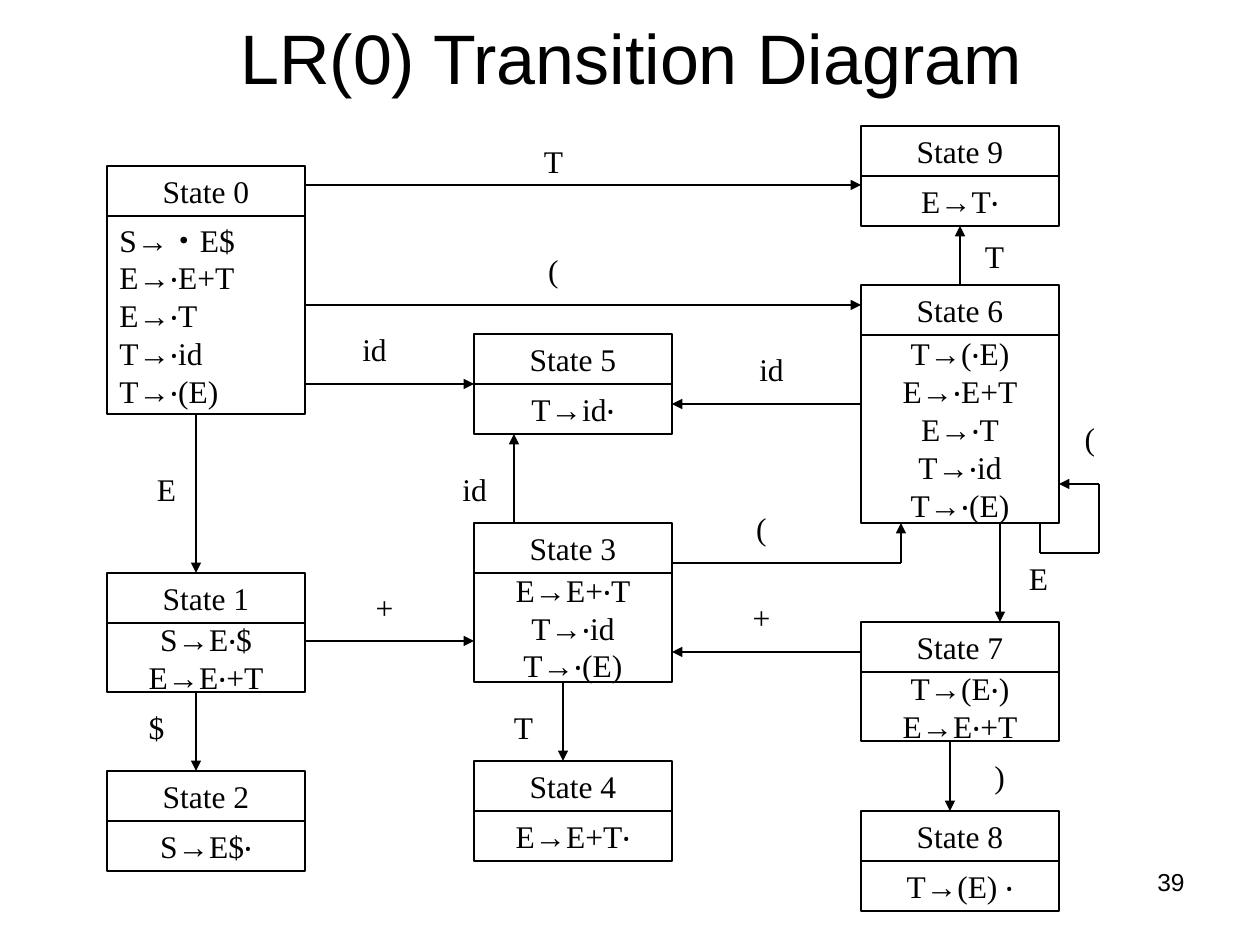
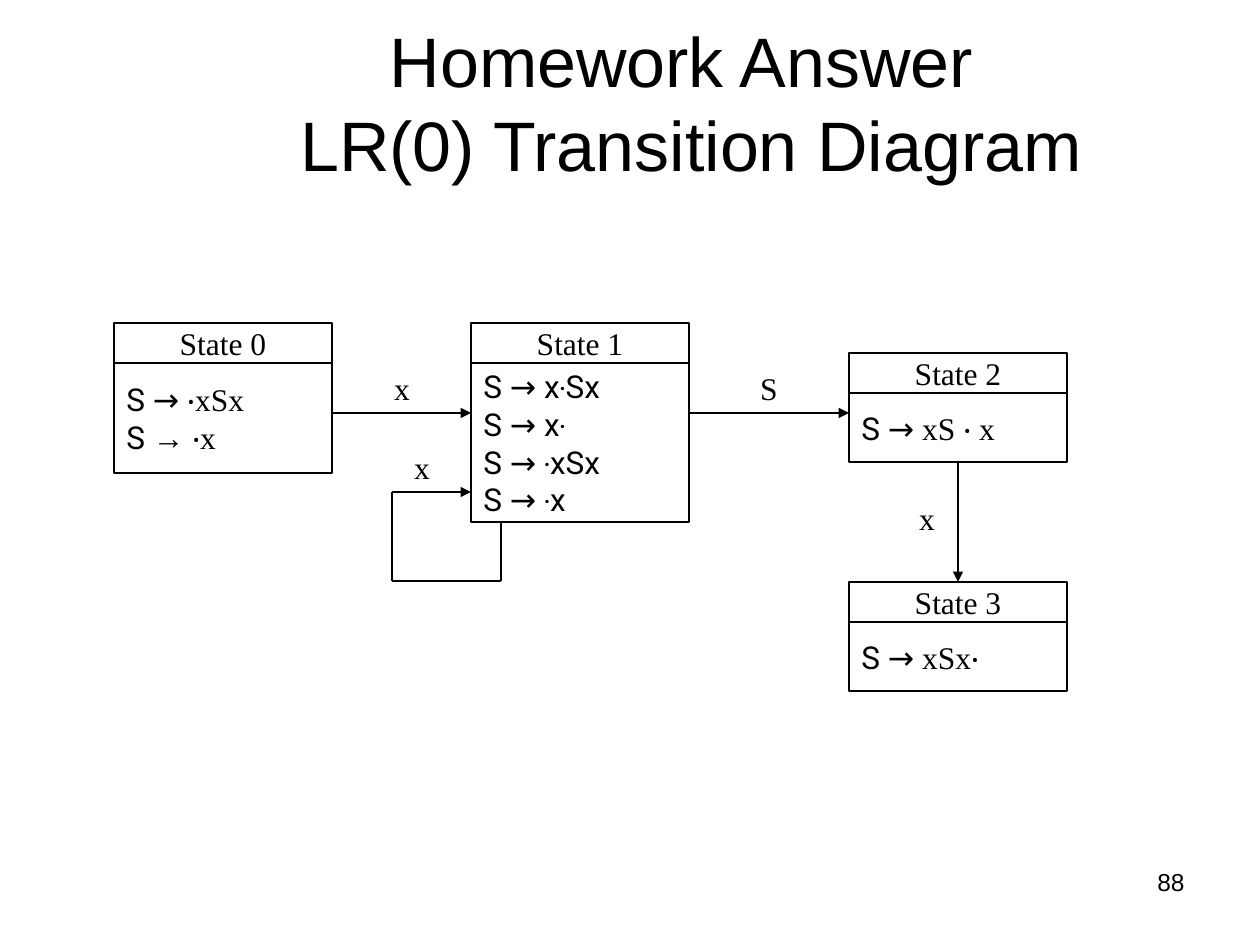
from dataclasses import dataclass

from lxml import etree
from pptx import Presentation
from pptx.dml.color import RGBColor
from pptx.enum.shapes import MSO_CONNECTOR, MSO_SHAPE
from pptx.enum.text import MSO_ANCHOR, PP_ALIGN
from pptx.oxml.ns import qn
from pptx.util import Emu, Pt

LEFT, CENTER, RIGHT = PP_ALIGN.LEFT, PP_ALIGN.CENTER, PP_ALIGN.RIGHT
TOP, MIDDLE, BOTTOM = MSO_ANCHOR.TOP, MSO_ANCHOR.MIDDLE, MSO_ANCHOR.BOTTOM
RECTANGLE = MSO_SHAPE.RECTANGLE
STRAIGHT = MSO_CONNECTOR.STRAIGHT


@dataclass(frozen=True)
class Theme:
    ink: RGBColor = RGBColor(0, 0, 0)
    paper: RGBColor = RGBColor(255, 255, 255)
    sans: str = "Arial"
    serif: str = "Times New Roman"
    rule: str = "Roboto"
    wide: str = "Noto Sans CJK TC"
    title_size: int = 40
    body_size: int = 18
    number_size: int = 14
    line_width: float = 0.75


THEME = Theme()
PX = 914400 / 126
SLIDE_SIZE = (1260, 945)
NUMBER_BOX = (903, 861, 294, 66)


def production(right_side):
    """One grammar rule whose left side and arrow are in the rule font."""
    return [("S → ", THEME.rule), (right_side, THEME.serif)]


# States: name, left, top, body height, body alignment, body lines.
# A line is a string in the serif font or a list of (text, font) runs.
# Labels: text, left, top and, where it differs, size.
# Arrows: corner points, with the head at the last one.
DIAGRAMS = [
    {
        "title": "LR(0) Transition Diagram",
        "title_box": (64, 26, 1134, 79),
        "number": "39",
        "state_width": 198,
        "header_height": 50,
        "label_size": (59, 50),
        "states": [
            ("State 0", 107, 166, 198, LEFT,
             [[("S→", THEME.serif), ("‧", THEME.wide), ("E$", THEME.serif)],
              "E→‧E+T", "E→‧T", "T→‧id", "T→‧(E)"]),
            ("State 1", 107, 573, 69, CENTER, ["S→E‧$", "E→E‧+T"]),
            ("State 2", 107, 771, 50, CENTER, ["S→E$‧"]),
            ("State 3", 474, 523, 109, CENTER, ["E→E+‧T", "T→‧id", "T→‧(E)"]),
            ("State 4", 474, 761, 50, CENTER, ["E→E+T‧"]),
            ("State 5", 474, 334, 50, CENTER, ["T→id‧"]),
            ("State 6", 861, 285, 188, CENTER,
             ["T→(‧E)", "E→‧E+T", "E→‧T", "T→‧id", "T→‧(E)"]),
            ("State 7", 861, 622, 69, CENTER, ["T→(E‧)", "E→E‧+T"]),
            ("State 8", 861, 811, 50, CENTER, ["T→(E) ‧"]),
            ("State 9", 861, 126, 50, CENTER, ["E→T‧"]),
        ],
        "labels": [
            ("T", 524, 136), ("(", 524, 245), ("id", 345, 324), ("id", 742, 344),
            ("E", 137, 464), ("id", 445, 464), ("(", 732, 503), ("+", 355, 582),
            ("+", 732, 592), ("E", 1009, 553), ("$", 127, 702), ("T", 494, 702),
            (")", 970, 751), ("T", 970, 236, 49, 39), ("(", 1070, 413, 40, 50),
        ],
        "arrows": [
            [(305, 185), (861, 185)],
            [(305, 305), (861, 305)],
            [(305, 384), (474, 384)],
            [(196, 414), (196, 573)],
            [(305, 641), (474, 641)],
            [(196, 692), (196, 771)],
            [(563, 682), (563, 761)],
            [(514, 523), (514, 434)],
            [(861, 404), (672, 404)],
            [(672, 563), (901, 563), (901, 523)],
            [(1000, 523), (1000, 622)],
            [(861, 652), (672, 652)],
            [(950, 741), (950, 811)],
            [(960, 285), (960, 226)],
            [(1040, 523), (1040, 553), (1099, 553), (1099, 484), (1059, 484)],
        ],
    },
    {
        "title": "Homework Answer \vLR(0) Transition Diagram",
        "title_box": (154, 96, 1074, 96),
        "number": "88",
        "state_width": 218,
        "header_height": 40,
        "label_size": (40, 30),
        "states": [
            ("State 0", 114, 323, 110, LEFT,
             [production("‧xSx"), [("S ", THEME.rule), ("→ ‧x", THEME.serif)]]),
            ("State 1", 471, 323, 159, LEFT,
             [[(text, THEME.rule)]
              for text in ("S → x‧Sx", "S → x‧", "S → ‧xSx", "S → ‧x")]),
            ("State 2", 849, 353, 69, LEFT, [production("xS ‧ x")]),
            ("State 3", 849, 582, 69, LEFT, [production("xSx‧")]),
        ],
        "labels": [("x", 382, 373), ("x", 402, 452), ("S", 749, 373), ("x", 907, 503)],
        "arrows": [
            [(332, 413), (471, 413)],
            [(689, 413), (849, 413)],
            [(958, 462), (958, 582)],
            [(501, 522), (501, 581), (392, 581), (392, 492), (471, 492)],
        ],
    },
]


def px(*lengths):
    return [Emu(round(length * PX)) for length in lengths]


def write(shape, lines, font_name, size, alignment, anchor, wrap):
    frame = shape.text_frame
    frame.word_wrap = wrap
    frame.vertical_anchor = anchor
    for index, line in enumerate(lines):
        paragraph = frame.add_paragraph() if index else frame.paragraphs[0]
        paragraph.alignment = alignment
        if isinstance(line, str):
            paragraph.text = line
            names = [font_name] * len(paragraph.runs)
        else:
            names = [name for _, name in line]
            for text, _ in line:
                paragraph.add_run().text = text
        for run, name in zip(paragraph.runs, names):
            run.font.name = name
            run.font.size = Pt(size)
            run.font.color.rgb = THEME.ink
            east_asian = etree.Element(qn("a:ea"), typeface=name)
            run.font._element.find(qn("a:latin")).addnext(east_asian)


def add_text(slide, box, text, size, alignment, anchor):
    shape = slide.shapes.add_textbox(*px(*box))
    write(shape, [text], THEME.sans, size, alignment, anchor, True)


def add_box(slide, box, lines, alignment, line_color):
    shape = slide.shapes.add_shape(RECTANGLE, *px(*box))
    shape.shadow.inherit = False
    shape.fill.solid()
    shape.fill.fore_color.rgb = THEME.paper
    shape.line.color.rgb = line_color
    shape.line.width = Pt(THEME.line_width)
    write(shape, lines, THEME.serif, THEME.body_size, alignment, MIDDLE, False)
    return shape


def add_state(slide, state, width, header_height):
    """Draw a state; return {point: (shape, site)} for its top and bottom middles."""
    name, left, top, body_height, alignment, lines = state
    body_top = top + header_height
    body = add_box(slide, (left, body_top, width, body_height), lines, alignment, THEME.ink)
    header = add_box(slide, (left, top, width, header_height), [name], CENTER, THEME.ink)
    middle = left + width // 2
    return {(middle, top): (header, 0), (middle, body_top + body_height): (body, 2)}


def add_arrow(slide, points, sites):
    """Draw one connector per leg, joined to any site that an end falls on."""
    for start, end in zip(points, points[1:]):
        connector = slide.shapes.add_connector(STRAIGHT, *px(*start, *end))
        connector.line.color.rgb = THEME.ink
        connector.line.width = Pt(THEME.line_width)
        if start in sites:
            connector.begin_connect(*sites[start])
        if end in sites:
            connector.end_connect(*sites[end])
        properties = connector._element.spPr
        if end == points[-1]:
            etree.SubElement(properties.find(qn("a:ln")), qn("a:tailEnd"), type="triangle")
        etree.SubElement(properties, qn("a:effectLst"))


def add_diagram(presentation, diagram):
    slide = presentation.slides.add_slide(presentation.slide_layouts[6])
    add_text(slide, NUMBER_BOX, diagram["number"], THEME.number_size, RIGHT, TOP)
    add_text(slide, diagram["title_box"], diagram["title"], THEME.title_size, CENTER, BOTTOM)
    sites = {}
    for state in diagram["states"]:
        sites.update(add_state(slide, state, diagram["state_width"], diagram["header_height"]))
    for text, left, top, *size in diagram["labels"]:
        box = (left, top, *(size or diagram["label_size"]))
        add_box(slide, box, [text], CENTER, THEME.paper)
    for points in diagram["arrows"]:
        add_arrow(slide, points, sites)


def main():
    presentation = Presentation()
    presentation.slide_width, presentation.slide_height = px(*SLIDE_SIZE)
    for diagram in DIAGRAMS:
        add_diagram(presentation, diagram)
    presentation.save("out.pptx")


if __name__ == "__main__":
    main()
